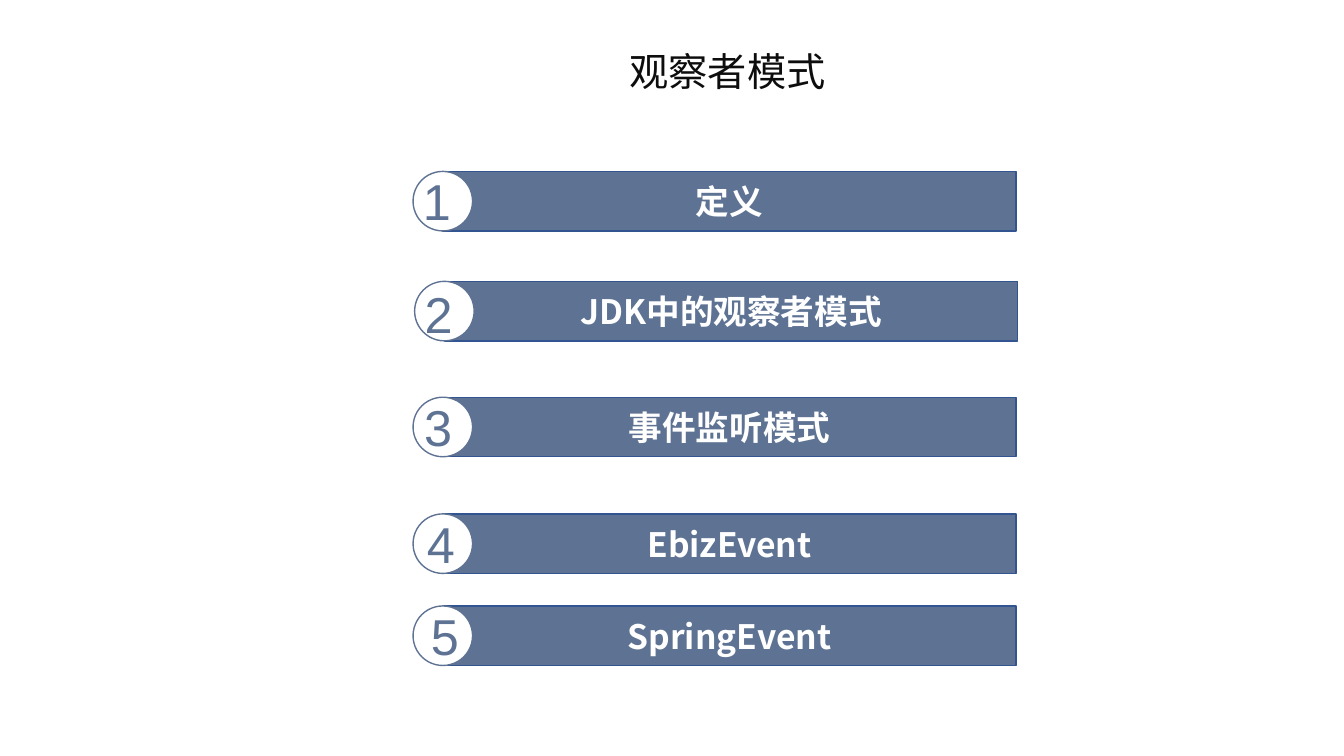
from lxml.etree import SubElement
from pptx import Presentation
from pptx.dml.color import RGBColor
from pptx.enum.shapes import MSO_SHAPE
from pptx.enum.text import MSO_ANCHOR, MSO_AUTO_SIZE, PP_ALIGN
from pptx.oxml.ns import qn
from pptx.util import Cm, Pt

SLATE = RGBColor(0x5E, 0x73, 0x93)
NAVY = RGBColor(0x32, 0x54, 0x91)
WHITE = RGBColor(0xFF, 0xFF, 0xFF)
INK = RGBColor(0x0D, 0x0D, 0x0D)
HAN = "Noto Sans CJK SC"
SIDE = 1.5
ROWS = [
    ("定义", 10.41, 4.32, 0, -0.15),
    ("JDK中的观察者模式", 10.45, 7.09, 0, -0.08),
    ("事件监听模式", 10.41, 10.01, 0.03, -0.15),
    ("EbizEvent", 10.41, 12.95, 0.1, -0.15),
    ("SpringEvent", 10.41, 15.27, 0.2, -0.15),
]


def write(frame, text, size, name, color, bold=False):
    """Fill a frame with one styled paragraph and return it."""
    line = frame.paragraphs[0]
    line.text = text
    font = line.font
    font.size, font.name, font.bold = Pt(size), name, bold
    font.color.rgb = color
    SubElement(font._element, qn("a:ea")).set("typeface", name)
    return line


def add_form(shapes, kind, left, top, width, fill, edge):
    """Add a flat outlined shape of the row height."""
    form = shapes.add_shape(kind, Cm(left), Cm(top), Cm(width), Cm(SIDE))
    form.shadow.inherit = False
    form.fill.solid()
    form.fill.fore_color.rgb = fill
    form.line.color.rgb = edge
    form.line.width = Pt(1)
    return form


def add_label(shapes, text, left, top, width, height, size, name, color):
    """Add a left-aligned text box."""
    box = shapes.add_textbox(Cm(left), Cm(top), Cm(width), Cm(height))
    frame = box.text_frame
    frame.word_wrap = True
    frame.auto_size = MSO_AUTO_SIZE.SHAPE_TO_FIT_TEXT
    write(frame, text, size, name, color)


def add_row(slide, number, text, left, top, shift, lift):
    """Add a numbered bar with its disc."""
    shapes = slide.shapes.add_group_shape().shapes
    bar = add_form(shapes, MSO_SHAPE.RECTANGLE, left + SIDE / 2, top, 14.45,
                   SLATE, NAVY)
    bar.text_frame.vertical_anchor = MSO_ANCHOR.MIDDLE
    line = write(bar.text_frame, text, 24, HAN, WHITE, True)
    line.alignment = PP_ALIGN.CENTER
    add_form(shapes, MSO_SHAPE.OVAL, left, top, SIDE, WHITE, SLATE)
    add_label(slide.shapes, str(number), left + shift, top + lift, 2.13, 1.8,
              36, "Arial", SLATE)


def main():
    """Build the agenda slide and save it."""
    deck = Presentation()
    deck.slide_width, deck.slide_height = Cm(33.87), Cm(19.05)
    slide = deck.slides.add_slide(deck.slide_layouts[6])
    add_label(slide.shapes, "观察者模式", 15.62, 1.07, 5.51, 1.45, 28, HAN, INK)
    for number, row in enumerate(ROWS, 1):
        add_row(slide, number, *row)
    deck.save("out.pptx")


if __name__ == "__main__":
    main()
